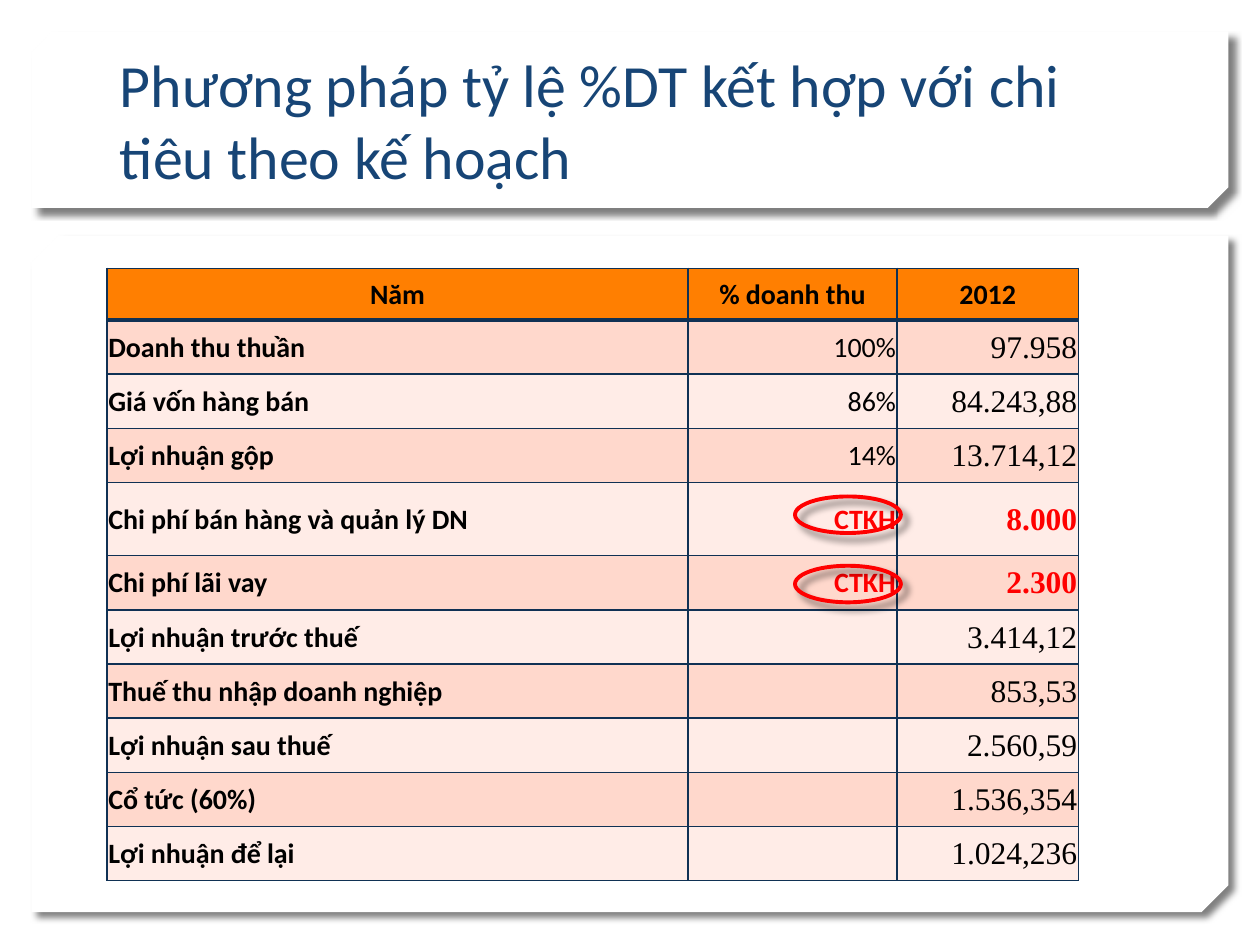
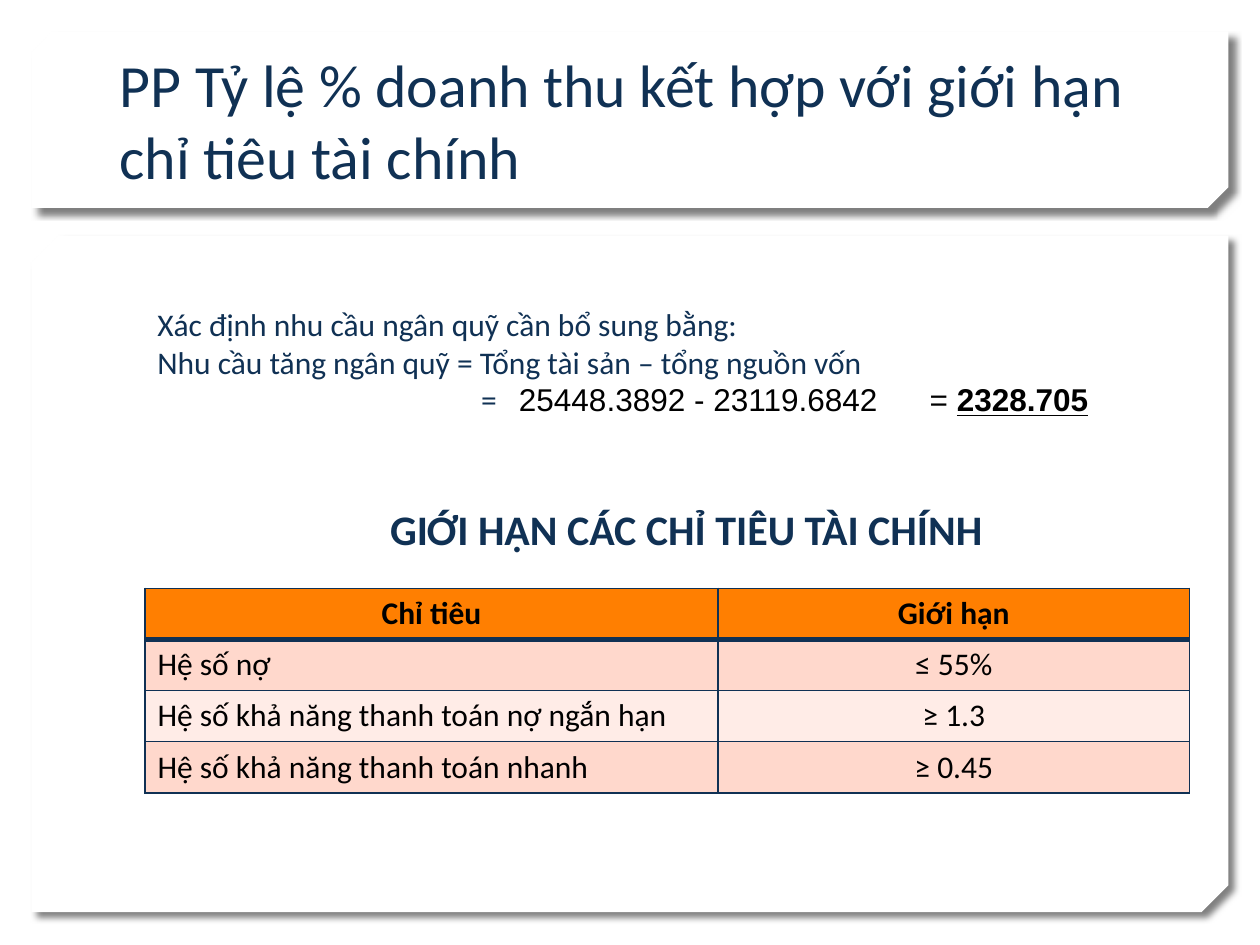
"""Build two slides on the percent-of-sales method combined with planned and limited indicators."""
import pptx
import pptx.dml.color
import pptx.enum.shapes
import pptx.enum.text
import pptx.oxml
import pptx.oxml.ns
import pptx.util
from lxml import etree

Inches, Pt = pptx.util.Inches, pptx.util.Pt
ALIGN, ANCHOR = pptx.enum.text.PP_ALIGN, pptx.enum.text.MSO_ANCHOR
SHAPE = pptx.enum.shapes.MSO_SHAPE
qn = pptx.oxml.ns.qn

COLORS = {"navy": "103154", "blue": "174576", "black": "000000", "white": "FFFFFF", "red": "FF0000",
          "header": "FF7F01", "odd": "FFD8CC", "even": "FFECE7"}
SANS, ARIAL, SERIF = "Calibri", "Arial", "Times New Roman"
PANELS = [((0.25, 1.87, 9.5, 5.37), 0.04), ((0.25, 0.25, 9.5, 1.4), 0.117)]
TITLE_BOX = (0.85, 0.32, 8.29, 1.25)

PLAN_TITLE = "Phương pháp tỷ lệ %DT kết hợp với chi tiêu theo kế hoạch"
PLANNED = "CTKH"
PLAN = [
    ("Năm", "% doanh thu", "2012"),
    ("Doanh thu thuần", "100%", "97.958"),
    ("Giá vốn hàng bán", "86%", "84.243,88"),
    ("Lợi nhuận gộp", "14%", "13.714,12"),
    ("Chi phí bán hàng và quản lý DN", PLANNED, "8.000"),
    ("Chi phí lãi vay", PLANNED, "2.300"),
    ("Lợi nhuận trước thuế", "", "3.414,12"),
    ("Thuế thu nhập doanh nghiệp", "", "853,53"),
    ("Lợi nhuận sau thuế", "", "2.560,59"),
    ("Cổ tức (60%)", "", "1.536,354"),
    ("Lợi nhuận để lại", "", "1.024,236"),
]
PLAN_ROWS = [0.41] + [0.43] * 3 + [0.58] + [0.43] * 6
PLANNED_MARK_TOPS = (3.94, 4.49)

LIMIT_TITLE = "PP Tỷ lệ % doanh thu kết hợp với giới hạn chỉ tiêu tài chính"
LIMIT_HEADING = "GIỚI HẠN CÁC CHỈ TIÊU TÀI CHÍNH "
LIMITS = [
    ("Chỉ tiêu", "Giới hạn"),
    ("Hệ số nợ", "≤ 55%"),
    ("Hệ số khả năng thanh toán nợ ngắn hạn", "≥ 1.3"),
    ("Hệ số khả năng thanh toán nhanh", "≥ 0.45"),
]
FUNDING_NEED = [
    [("Xác định nhu cầu ngân quỹ cần bổ sung bằng:", {})],
    [("Nhu cầu tăng ngân quỹ = Tổng tài sản – tổng nguồn vốn", {})],
    [("\t=\t", {}),
     ("25448.3892 - 23119.6842\t= ", {"font": ARIAL, "color": "black"}),
     ("2328.705", {"font": ARIAL, "color": "black", "bold": True, "underline": True})],
]
SUM_TABS = (2.57, 2.87, 6.13)


def inches(box):
    return [Inches(length) for length in box]


def rgb(color):
    return pptx.dml.color.RGBColor.from_string(COLORS[color])


def add_run(paragraph, text, size=18, font=SANS, color="navy", bold=False, underline=False):
    run = paragraph.add_run()
    run.text = text
    run.font.size, run.font.name = Pt(size), font
    run.font.bold, run.font.underline = bold, underline
    run.font.color.rgb = rgb(color)


def add_shadow(shape):
    shape.shadow.inherit = False
    effects = shape.element.spPr.find(qn("a:effectLst"))
    effects.append(pptx.oxml.parse_xml(
        f'<a:outerShdw {pptx.oxml.ns.nsdecls("a")} blurRad="{Pt(4)}" dist="{Pt(5)}" dir="2700000" '
        f'algn="tl" rotWithShape="0"><a:srgbClr val="{COLORS["black"]}"><a:alpha val="50000"/>'
        '</a:srgbClr></a:outerShdw>'))


def add_slide(deck, title, color):
    slide = deck.slides.add_slide(deck.slide_layouts[5])
    for depth, (box, snip) in enumerate(PANELS, start=2):
        panel = slide.shapes.add_shape(SHAPE.SNIP_2_DIAG_RECTANGLE, *inches(box))
        panel.adjustments[0], panel.adjustments[1] = 0, snip
        panel.element.spPr.find(qn("a:xfrm")).set("flipV", "1")
        panel.fill.solid()
        panel.fill.fore_color.rgb = rgb("white")
        panel.line.fill.background()
        add_shadow(panel)
        slide.shapes.element.insert(depth, panel.element)
    heading = slide.shapes.title
    heading.left, heading.top, heading.width, heading.height = inches(TITLE_BOX)
    frame = heading.text_frame
    frame.auto_size = pptx.enum.text.MSO_AUTO_SIZE.NONE
    frame.vertical_anchor = ANCHOR.BOTTOM
    frame.paragraphs[0].alignment = ALIGN.LEFT
    add_run(frame.paragraphs[0], title, 34.2, color=color)
    return slide


def add_borders(cell, row):
    properties = cell._tc.get_or_add_tcPr()
    thick = {0: "lnB", 1: "lnT"}.get(row)
    for side in ("lnL", "lnR", "lnT", "lnB"):
        edge = etree.SubElement(properties, qn("a:" + side), w=str(Pt(3 if side == thick else 1)))
        fill = etree.SubElement(edge, qn("a:solidFill"))
        etree.SubElement(fill, qn("a:srgbClr"), val=COLORS["navy"])


def add_grid(slide, content, left, top, columns, rows, style, tight=False):
    box = inches((left, top, sum(columns), sum(rows)))
    grid = slide.shapes.add_table(len(rows), len(columns), *box).table
    grid.first_row = grid.horz_banding = False
    for column, width in zip(grid.columns, columns):
        column.width = Inches(width)
    for r, (texts, height) in enumerate(zip(content, rows)):
        grid.rows[r].height = Inches(height)
        for c, text in enumerate(texts):
            cell = grid.cell(r, c)
            add_borders(cell, r)
            cell.fill.solid()
            cell.fill.fore_color.rgb = rgb("header" if r == 0 else "odd" if r % 2 else "even")
            if not text:
                continue
            if tight:
                cell.vertical_anchor = ANCHOR.MIDDLE
                cell.margin_left = cell.margin_right = cell.margin_top = Inches(0.01)
                cell.margin_bottom = 0
            paragraph = cell.text_frame.paragraphs[0]
            paragraph.alignment, look = style(r, c)
            add_run(paragraph, text, **look)


def plan_style(r, c):
    planned = c > 0 and PLAN[r][1] == PLANNED
    look = {"size": 16, "color": "red" if planned else "black", "bold": r == 0 or c == 0 or planned}
    if r and c == 2:
        look.update(size=18, font=SERIF)
    return (ALIGN.CENTER if r == 0 else ALIGN.RIGHT if c else ALIGN.LEFT), look


def limit_style(r, c):
    return (ALIGN.CENTER if r == 0 or c else ALIGN.LEFT), {"color": "black", "bold": r == 0}


def build_plan(deck):
    slide = add_slide(deck, PLAN_TITLE, "blue")
    add_grid(slide, PLAN, 0.85, 2.13, (4.61, 1.66, 1.44), PLAN_ROWS, plan_style, tight=True)
    for top in PLANNED_MARK_TOPS:
        mark = slide.shapes.add_shape(SHAPE.OVAL, *inches((6.31, top, 0.84, 0.29)))
        mark.fill.background()
        mark.line.color.rgb = rgb("red")
        mark.line.width = Pt(2.25)
        add_shadow(mark)


def build_limits(deck):
    slide = add_slide(deck, LIMIT_TITLE, "navy")
    add_grid(slide, LIMITS, 1.15, 4.67, (4.55, 3.74), [0.405] * 4, limit_style)
    heading = slide.shapes.add_textbox(*inches((2.86, 3.95, 5.25, 0.5))).text_frame
    heading.word_wrap = False
    heading.paragraphs[0].alignment = ALIGN.CENTER
    add_run(heading.paragraphs[0], LIMIT_HEADING, 24, bold=True)
    need = slide.shapes.add_textbox(*inches((1.15, 2.37, 7.75, 1.01))).text_frame
    need.word_wrap = True
    for i, runs in enumerate(FUNDING_NEED):
        line = need.add_paragraph() if i else need.paragraphs[0]
        for text, look in runs:
            add_run(line, text, **look)
    stops = etree.SubElement(line._p.get_or_add_pPr(), qn("a:tabLst"))
    for position in SUM_TABS:
        etree.SubElement(stops, qn("a:tab"), pos=str(Inches(position)), algn="l")


def main():
    deck = pptx.Presentation()
    deck.slide_width, deck.slide_height = Inches(10), Inches(7.5)
    build_plan(deck)
    build_limits(deck)
    deck.save("out.pptx")


if __name__ == "__main__":
    main()
